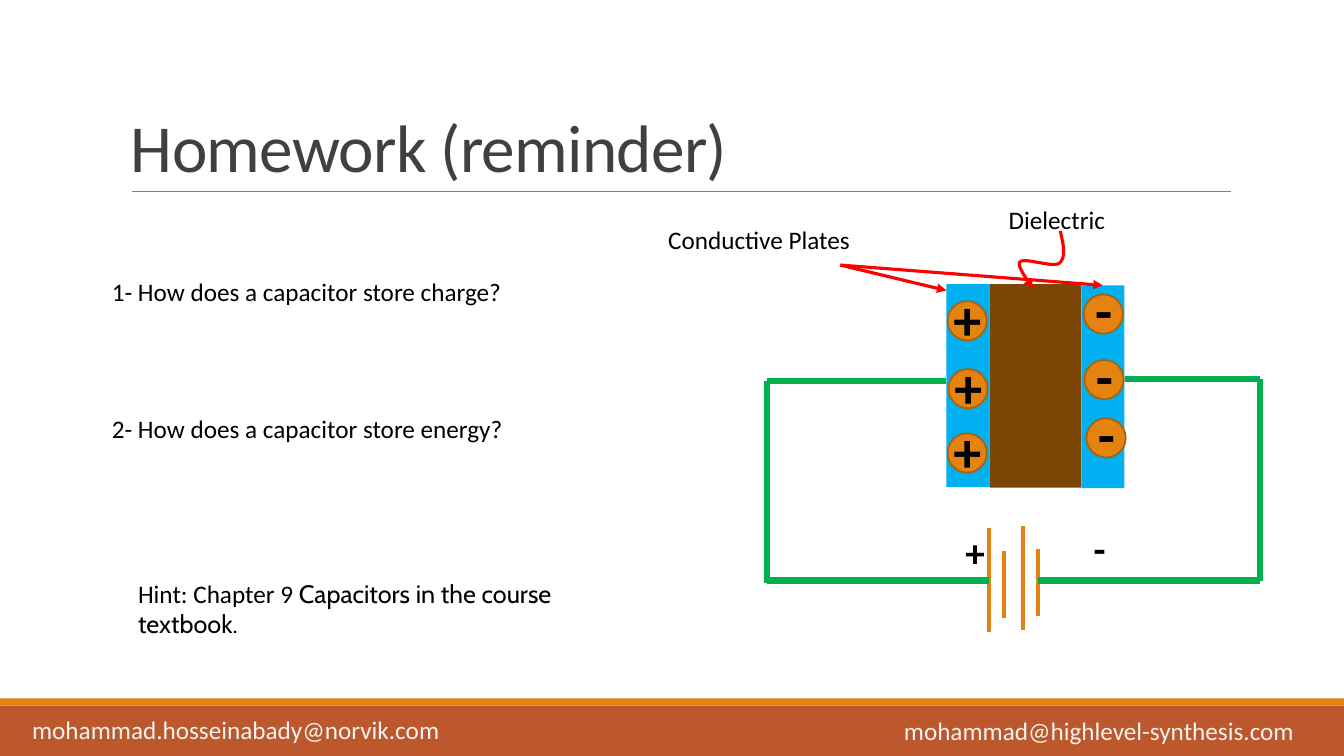
import pptx
import pptx.util
import pptx.dml.color
import pptx.enum.shapes
import pptx.enum.text
import pptx.oxml.ns
import lxml.etree

Cm = pptx.util.Cm
Pt = pptx.util.Pt
SHAPES = pptx.enum.shapes.MSO_SHAPE
ANCHORS = pptx.enum.text.MSO_ANCHOR

# Content: all lengths in centimetres
WIDTH, HEIGHT = 33.87, 19.05
ORANGE, GREEN, RED, BLUE = "E48312", "00B050", "FF0000", "00B0F0"
BLACK, PALE = "000000", "F2F2F2"

FOOTER_BANDS = [(17.78, 1.27, "BD582C"), (17.6, 0.18, ORANGE)]
TITLE = "Homework (reminder)"

# text, left, top, width, height, size, colour, bold, wrap
TEXTS = [
    ("mohammad@highlevel-synthesis.com", 22.53, 17.91, 10.69, 1.02, 18, PALE, False, True),
    ("mohammad.hosseinabady@norvik.com", 0.56, 17.88, 12.37, 1.02, 18, PALE, False, True),
    ("Conductive Plates", 16.59, 5.54, 5.16, 1.02, 18, BLACK, False, False),
    ("Dielectric", 25.17, 5.03, 3.12, 1.02, 18, BLACK, False, False),
    ("-", 27.31, 13.08, 0.81, 1.45, 28, BLACK, True, False),
    ("+", 24.08, 13.18, 1.02, 1.45, 28, BLACK, True, False),
    ("1- How does a capacitor store charge?", 2.57, 6.83, 13.67, 1.02, 18, BLACK, False, True),
    ("2- How does a capacitor store energy?", 2.57, 10.29, 13.67, 1.02, 18, BLACK, False, True),
]
HINT = [("Hint: Chapter 9 ", "Calibri"), ("Capacitors in the course textbook.", "Cabin")]

# left, top, width, height, colour
CAPACITOR = [
    (27.25, 7.19, 1.09, 5.11, BLUE),
    (23.85, 7.16, 1.09, 5.11, BLUE),
    (24.94, 7.16, 2.31, 5.13, "7C4607"),
]

# x, top, bottom
BATTERY = [(24.92, 13.31, 15.93), (25.3, 13.89, 15.57),
           (25.78, 13.26, 15.88), (26.16, 13.84, 15.52)]

LOOP_LEFT, LOOP_RIGHT, LOOP_BOTTOM = 19.33, 31.75, 14.63
LEFT_TOP, RIGHT_TOP = 9.6, 9.55
WIRES = [
    (28.35, RIGHT_TOP, LOOP_RIGHT, RIGHT_TOP),
    (LOOP_LEFT, LEFT_TOP, 23.85, LEFT_TOP),
    (BATTERY[-1][0], LOOP_BOTTOM, LOOP_RIGHT, LOOP_BOTTOM),
    (LOOP_RIGHT, LOOP_BOTTOM, LOOP_RIGHT, RIGHT_TOP),
    (LOOP_LEFT, LOOP_BOTTOM, BATTERY[0][0], LOOP_BOTTOM),
    (LOOP_LEFT, LOOP_BOTTOM + 0.05, LOOP_LEFT, LEFT_TOP),
]

PLATE_ARROW_START = (21.18, 6.68)
PLATE_ARROW_ENDS = [(27.79, 7.19), (23.85, 7.32)]
DIELECTRIC_START = (26.72, 5.82)
DIELECTRIC_CURVES = [
    ((26.8, 6.15), (26.87, 6.5), (26.7, 6.63)),
    ((26.54, 6.76), (25.83, 6.48), (25.7, 6.6)),
    ((25.6, 6.71), (26.04, 7.26), (26.04, 7.26)),
]

# sign: label offset and circle corners
CHARGE_SIZE = 0.99
CHARGES = {
    "-": ((0.04, -0.6), [(27.31, 7.42), (27.33, 9.07), (27.38, 10.54)]),
    "+": ((-0.1, -0.55), [(23.88, 7.59), (23.9, 9.3), (23.88, 10.92)]),
}


# Helpers
def colour(hex_text):
    return pptx.dml.color.RGBColor.from_string(hex_text)


def style_line(shape, hex_text, points, arrow=False):
    shape.line.color.rgb = colour(hex_text)
    shape.line.width = Pt(points)
    if arrow:
        outline = shape.line._get_or_add_ln()
        tag = pptx.oxml.ns.qn("a:tailEnd")
        lxml.etree.SubElement(outline, tag).set("type", "triangle")


def add_line(slide, ends, hex_text, points, arrow=False):
    line = slide.shapes.add_connector(
        pptx.enum.shapes.MSO_CONNECTOR.STRAIGHT, *[Cm(value) for value in ends])
    style_line(line, hex_text, points, arrow)
    lxml.etree.SubElement(line._element.spPr, pptx.oxml.ns.qn("a:effectLst"))


def add_block(slide, kind, box, fill, border=None):
    shape = slide.shapes.add_shape(kind, *[Cm(value) for value in box])
    shape.shadow.inherit = False
    shape.fill.solid()
    shape.fill.fore_color.rgb = colour(fill)
    if border:
        style_line(shape, border, 1.25)
    else:
        shape.line.fill.background()


def format_run(run, size, hex_text, bold=False, font="Calibri"):
    run.font.size = Pt(size)
    run.font.name = font
    run.font.bold = bold
    run.font.color.rgb = colour(hex_text)


def add_text(slide, text, left, top, width, height, size, hex_text, bold, wrap):
    box = slide.shapes.add_textbox(Cm(left), Cm(top), Cm(width), Cm(height))
    box.text_frame.word_wrap = wrap
    paragraph = box.text_frame.paragraphs[0]
    paragraph.text = text
    for run in paragraph.runs:
        format_run(run, size, hex_text, bold)
    return box


def curve_points(start, curves, steps=12):
    for first, second, end in curves:
        for step in range(1, steps + 1):
            t = step / steps
            weights = ((1 - t) ** 3, 3 * t * (1 - t) ** 2, 3 * t * t * (1 - t), t ** 3)
            corners = (start, first, second, end)
            yield tuple(Cm(sum(w * corner[axis] for w, corner in zip(weights, corners)))
                        for axis in (0, 1))
        start = end


def main():
    presentation = pptx.Presentation()
    presentation.slide_width, presentation.slide_height = Cm(WIDTH), Cm(HEIGHT)
    slide = presentation.slides.add_slide(presentation.slide_layouts[6])

    # Footer bands, title and rule
    for top, height, fill in FOOTER_BANDS:
        add_block(slide, SHAPES.RECTANGLE, (0, top, WIDTH, height), fill)
    add_line(slide, (3.33, 4.83, 31.01, 4.83), "808080", 0.5)
    title = add_text(slide, TITLE, 3.05, 0.79, 27.94, 4.04, 48, "404040", False, True)
    title.text_frame.vertical_anchor = ANCHORS.BOTTOM
    heading = title.text_frame.paragraphs[0]
    heading.line_spacing = 0.85
    heading.runs[0].font._element.set("spc", "-50")

    # Circuit
    for x, top, bottom in BATTERY:
        add_line(slide, (x, top, x, bottom), ORANGE, 3)
    for wire in WIRES:
        add_line(slide, wire, GREEN, 4.5)
    for *box, fill in CAPACITOR:
        add_block(slide, SHAPES.RECTANGLE, box, fill)

    # Pointers
    builder = slide.shapes.build_freeform(*[Cm(value) for value in DIELECTRIC_START])
    builder.add_line_segments(curve_points(DIELECTRIC_START, DIELECTRIC_CURVES), close=False)
    pointer = builder.convert_to_shape()
    pointer.shadow.inherit = False
    pointer.fill.background()
    style_line(pointer, RED, 2.25, arrow=True)
    for end in PLATE_ARROW_ENDS:
        add_line(slide, PLATE_ARROW_START + end, RED, 2.25, arrow=True)

    # Charges on the plates
    for sign, ((shift_x, shift_y), corners) in CHARGES.items():
        for left, top in corners:
            add_block(slide, SHAPES.OVAL, (left, top, CHARGE_SIZE, CHARGE_SIZE), ORANGE, "A9610D")
            add_text(slide, sign, left + shift_x, top + shift_y, 1.65, 1.96, 40, BLACK, True, True)

    # Labels, questions and hint
    for entry in TEXTS:
        add_text(slide, *entry)
    hint = add_text(slide, "", 3.23, 14.45, 13.2, 1.78, 18, BLACK, False, True)
    for text, font in HINT:
        run = hint.text_frame.paragraphs[0].add_run()
        run.text = text
        format_run(run, 18, BLACK, font=font)

    presentation.save("out.pptx")


if __name__ == "__main__":
    main()
